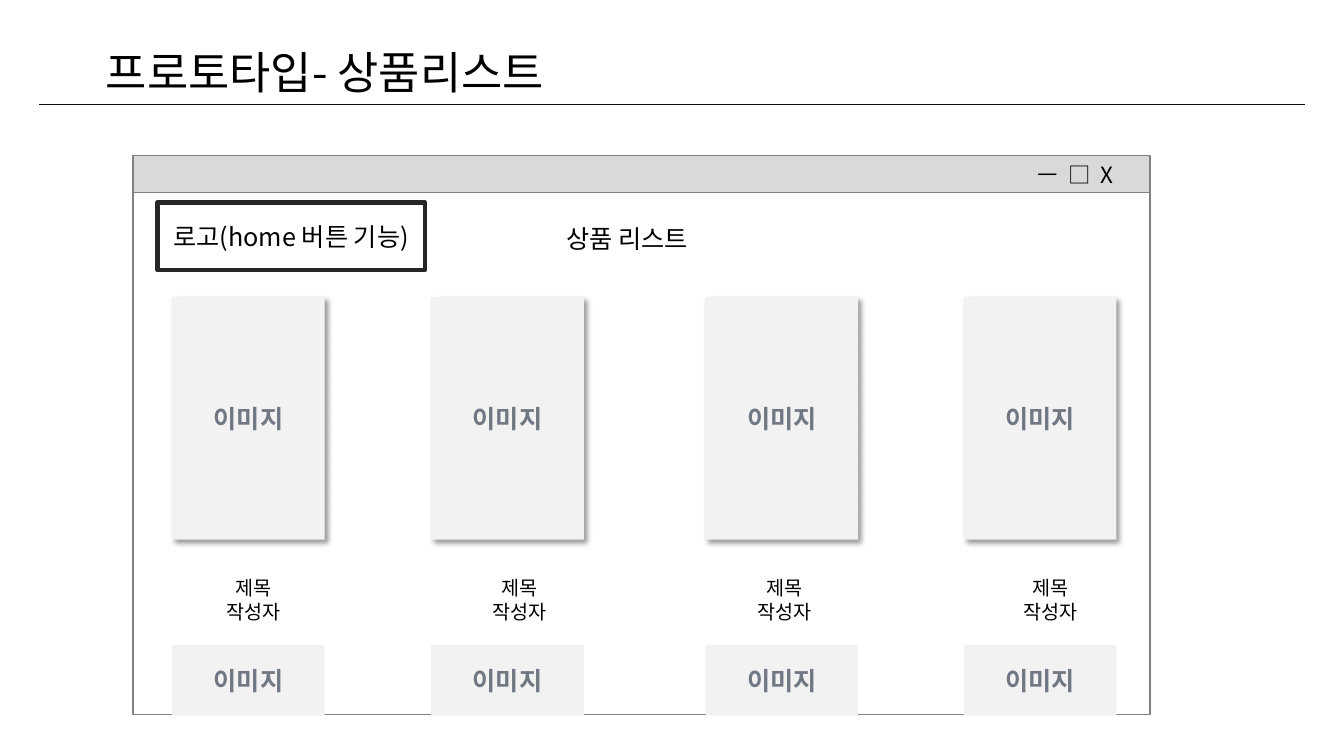
"""Builds the product list prototype slide."""
from lxml.etree import SubElement, fromstring
from pptx import Presentation
from pptx.dml.color import RGBColor
from pptx.enum.shapes import MSO_CONNECTOR as CONNECTOR, MSO_SHAPE as SHAPE
from pptx.enum.text import MSO_ANCHOR as ANCHOR, MSO_AUTO_SIZE as AUTO_SIZE, PP_ALIGN as ALIGN
from pptx.oxml.ns import nsdecls, qn
from pptx.util import Pt

FONT = "Noto Sans CJK KR"
BLACK, GRAY, BAR, CARD, CARD_TEXT = "000000", "808080", "D9D9D9", "F2F2F2", "707884"

TITLE = "프로토타입- 상품리스트"
HEADING = "상품 리스트"
LOGO = "로고(home 버튼 기능)"
CONTROLS = "ㅡ  □  X"
IMAGE = "이미지"
CAPTION = ["제목", "작성자"]

WINDOW_LEFT, WINDOW_WIDTH = 95, 726.5
CARD_LEFTS, CARD_WIDTH = [123, 308, 504, 688.5], 109
CARD_ROWS = [(212.4, 173, True), (460.8, 50.4, False)]
CAPTION_LEFT, CAPTION_STEP, CAPTION_TOP = 154, 189.8, 408


def color(value):
    return RGBColor.from_string(value)


def place(part, left, top, width, height):
    part.left, part.top, part.width, part.height = map(Pt, (left, top, width, height))


def write(part, lines, size, align=ALIGN.CENTER, anchor=ANCHOR.MIDDLE, ink=BLACK, bold=False, wrap=True):
    frame = part.text_frame
    frame.text = "\n".join(lines)
    frame.word_wrap = wrap
    frame.auto_size = AUTO_SIZE.NONE
    frame.vertical_anchor = anchor
    for paragraph in frame.paragraphs:
        paragraph.alignment = align
        font = paragraph.font
        font.name, font.size, font.bold = FONT, Pt(size), bold
        font.color.rgb = color(ink)
        defaults = paragraph._p.pPr.find(qn("a:defRPr"))
        SubElement(defaults, qn("a:ea")).set("typeface", FONT)


def box(left, top, width, height, fill=None, line=None, weight=1):
    part = slide.shapes.add_shape(SHAPE.RECTANGLE, *map(Pt, (left, top, width, height)))
    part.shadow.inherit = False
    if fill:
        part.fill.solid()
        part.fill.fore_color.rgb = color(fill)
    else:
        part.fill.background()
    if line:
        part.line.color.rgb = color(line)
        part.line.width = Pt(weight)
    else:
        part.line.fill.background()
    return part


def cast_shadow(part):
    effects = part._element.spPr.find(qn("a:effectLst"))
    effects.append(fromstring(
        f'<a:outerShdw {nsdecls("a")} blurRad="{Pt(4)}" dist="{Pt(3)}" dir="2700000" algn="tl" '
        'rotWithShape="0"><a:srgbClr val="000000"><a:alpha val="40000"/></a:srgbClr></a:outerShdw>'))


deck = Presentation()
deck.slide_width, deck.slide_height = Pt(960), Pt(540)
slide = deck.slides.add_slide(deck.slide_layouts[5])

title = slide.shapes.title
place(title, 68.4, 28, 371.5, 46)
write(title, [TITLE], 32, ALIGN.LEFT, ANCHOR.TOP)

rule = slide.shapes.add_connector(CONNECTOR.STRAIGHT, Pt(28), Pt(74.5), Pt(932), Pt(74.5))
rule.line.color.rgb = color("0D0D0D")
rule.line.width = Pt(0.5)
SubElement(rule._element.spPr, qn("a:effectLst"))

box(WINDOW_LEFT, 137.5, WINDOW_WIDTH, 373, "FFFFFF", GRAY)
box(WINDOW_LEFT, 111, WINDOW_WIDTH, 26.5, BAR, GRAY)
write(box(727, 113, 83, 23, BAR), [CONTROLS], 16)

heading = slide.shapes.add_textbox(Pt(397.4), Pt(156), Pt(126), Pt(29))
write(heading, [HEADING], 18, ALIGN.LEFT, ANCHOR.TOP)

for top, height, shadowed in CARD_ROWS:
    for left in CARD_LEFTS:
        card = box(left, top, CARD_WIDTH, height, CARD)
        write(card, [IMAGE], 18, ink=CARD_TEXT, bold=True)
        if shadowed:
            cast_shadow(card)

for column in range(len(CARD_LEFTS)):
    left = CAPTION_LEFT + column * CAPTION_STEP
    caption = slide.shapes.add_textbox(Pt(left), Pt(CAPTION_TOP), Pt(54), Pt(45))
    write(caption, CAPTION, 14, anchor=ANCHOR.TOP, wrap=False)

write(box(112.5, 144.7, 191, 48.3, line="262626", weight=3.25), [LOGO], 18)

deck.save("out.pptx")
